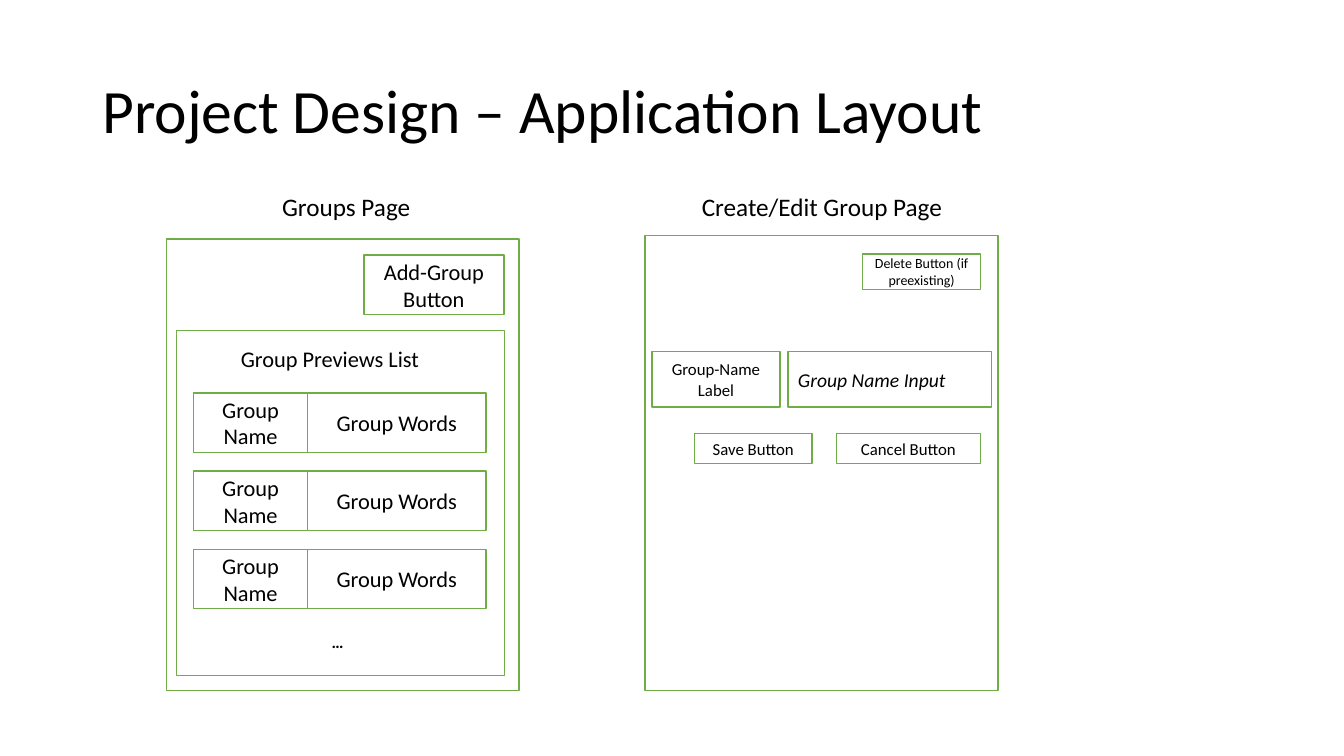
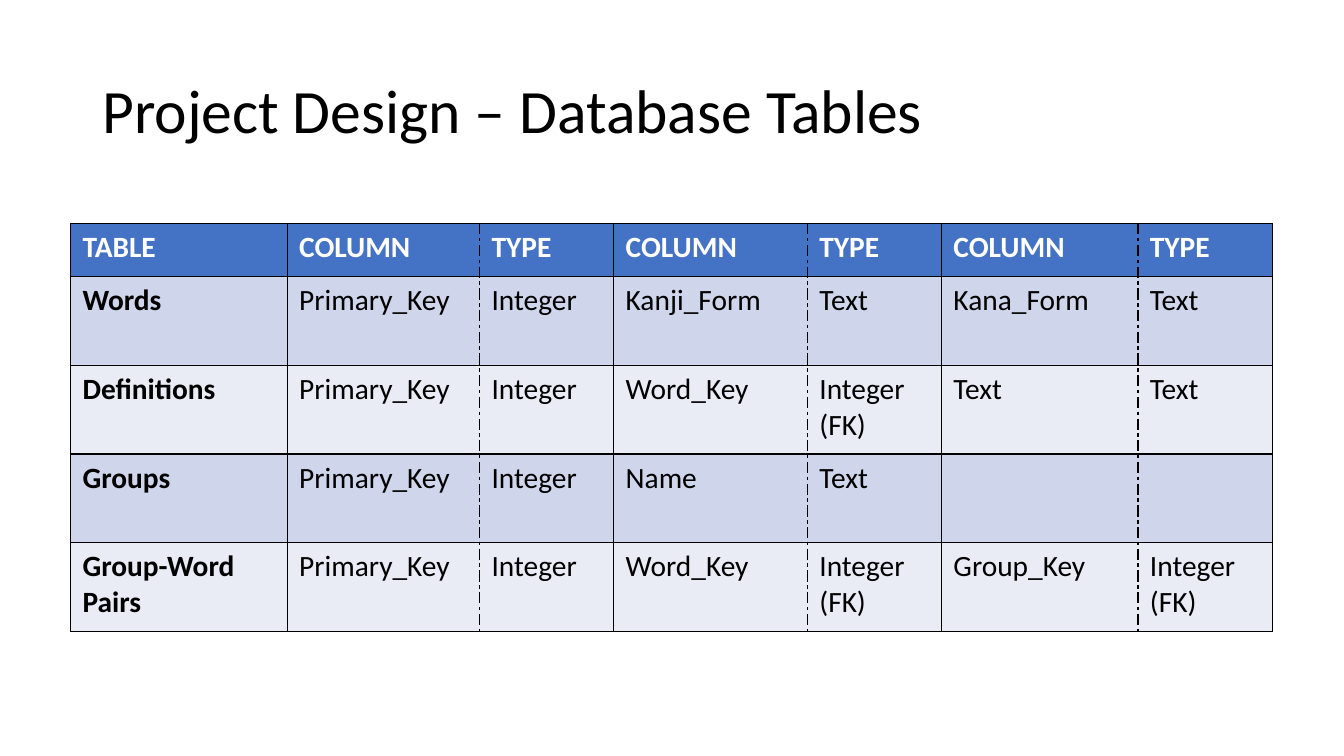
from lxml import etree
from pptx import Presentation
from pptx import util as u
from pptx.dml.color import RGBColor
from pptx.enum import shapes as sh, text as tx
from pptx.oxml.ns import qn

FONT = "Calibri"
BLACK, WHITE, GREEN = "000000", "FFFFFF", "70AD47"
HEADER_FILL, BAND_FILLS = "4472C4", ("CFD5EA", "E9EBF5")
TITLE_BOX = (2.33, 1.01, 29.21, 3.68)

# Wireframe content: (text, (left, top, width, height) in cm, font format)
PREVIEW_COUNT, PREVIEW_TOP, PREVIEW_PITCH = 3, 9.9, 1.97
PREVIEW_PARTS = [("Group Name", 4.88, 2.87), ("Group Words", 7.75, 4.5)]
PREVIEWS = [(label, (left, PREVIEW_TOP + i * PREVIEW_PITCH, width, 1.5), {"size": 16})
            for i in range(PREVIEW_COUNT) for label, left, width in PREVIEW_PARTS]

WIREFRAMES = [
    {"boxes": [("", (4.19, 6.02, 8.89, 11.38), {}),
               ("", (4.45, 8.33, 8.26, 8.69), {}),
               ("Add-Group Button", (9.17, 6.43, 3.53, 1.5), {"size": 16}),
               *PREVIEWS],
     "labels": [("Groups Page", (6.5, 4.7, 4.45, 1.17), {"size": 18}),
                ("Group Previews List", (5, 8.56, 6.63, 1.07), {"size": 16}),
                ("…", (7.75, 15.8, 1.52, 0.86), {"size": 12, "bold": True})]},
    {"boxes": [("", (16.26, 5.94, 8.89, 11.46), {}),
               ("Delete Button (if preexisting)", (21.74, 6.4, 2.97, 0.9), {"size": 10}),
               ("Group-Name Label", (16.43, 8.86, 3.23, 1.4), {"size": 12}),
               ("Group Name Input", (19.86, 8.86, 5.13, 1.4), {"size": 14, "italic": True}),
               ("Save Button", (17.5, 10.92, 2.97, 0.76), {"size": 12}),
               ("Cancel Button", (21.08, 10.92, 3.63, 0.76), {"size": 12})],
     "labels": [("Create/Edit Group Page", (16.69, 4.7, 8.05, 1.17), {"size": 18})]},
]

# Database content
DB_ROWS = [
    ("TABLE", "COLUMN", "TYPE", "COLUMN", "TYPE", "COLUMN", "TYPE"),
    ("Words", "Primary_Key", "Integer", "Kanji_Form", "Text", "Kana_Form", "Text"),
    ("Definitions", "Primary_Key", "Integer", "Word_Key", "Integer (FK)", "Text", "Text"),
    ("Groups", "Primary_Key", "Integer", "Name", "Text", "", ""),
    ("Group-Word Pairs", "Primary_Key", "Integer", "Word_Key", "Integer (FK)",
     "Group_Key", "Integer (FK)"),
]
DB_LEFT, DB_TOP = 1.78, 5.64
DB_WIDTHS = [5.46, 4.85, 3.38, 4.88, 3.38, 4.95, 3.38]
DB_HEIGHTS = [1.32] + [2.24] * 4
CELL_MARGINS = {"margin_left": 0.3, "margin_right": 0.3,
                "margin_top": 0.15, "margin_bottom": 0.15}


def color(hex_code):
    return RGBColor.from_string(hex_code)


def cm(lengths):
    return [u.Cm(length) for length in lengths]


def write(frame, words, ink=BLACK, size=18, align=tx.PP_ALIGN.LEFT, **style):
    """Fill a text frame with one styled paragraph and return the paragraph."""
    frame.word_wrap = True
    paragraph = frame.paragraphs[0]
    paragraph.alignment = align
    run = paragraph.add_run()
    run.text = words
    for key, value in {"name": FONT, "size": u.Pt(size), **style}.items():
        setattr(run.font, key, value)
    run.font.color.rgb = color(ink)
    return paragraph


def add_titled_slide(deck, title):
    slide = deck.slides.add_slide(deck.slide_layouts[6])
    frame = slide.shapes.add_textbox(*cm(TITLE_BOX)).text_frame
    frame.vertical_anchor = tx.MSO_ANCHOR.MIDDLE
    write(frame, title, size=44).line_spacing = 0.9
    return slide


def add_box(parent, words, place, style):
    box = parent.add_shape(sh.MSO_SHAPE.RECTANGLE, *cm(place))
    box.shadow.inherit = False
    box.fill.solid()
    box.fill.fore_color.rgb = color(WHITE)
    box.line.color.rgb = color(GREEN)
    box.line.width = u.Pt(1)
    if words:
        box.text_frame.vertical_anchor = tx.MSO_ANCHOR.MIDDLE
        # Input fields, in italics, read from the left
        align = tx.PP_ALIGN.LEFT if style.get("italic") else tx.PP_ALIGN.CENTER
        write(box.text_frame, words, align=align, **style)


def add_wireframe(slide, wireframe):
    group = slide.shapes.add_group_shape().shapes
    for words, place, style in wireframe["boxes"]:
        add_box(group, words, place, style)
    for words, place, style in wireframe["labels"]:
        label = group.add_textbox(*cm(place))
        write(label.text_frame, words, align=tx.PP_ALIGN.CENTER, **style)


def border(cell, side, dash):
    line = etree.SubElement(cell._tc.get_or_add_tcPr(), qn(f"a:ln{side}"), w=str(u.Pt(1)))
    fill = etree.SubElement(line, qn("a:solidFill"))
    etree.SubElement(fill, qn("a:srgbClr"), val=BLACK)
    etree.SubElement(line, qn("a:prstDash"), val=dash)


def format_cell(cell, row, col, words):
    for key, value in CELL_MARGINS.items():
        setattr(cell, key, u.Cm(value))
    # Each COLUMN cell is split from its TYPE cell by a dash-dot line
    is_type = col > 0 and col % 2 == 0
    is_column = col % 2 == 1
    for side, dashed in (("L", is_type), ("R", is_column), ("T", False), ("B", False)):
        border(cell, side, "dashDot" if dashed else "solid")
    cell.fill.solid()
    cell.fill.fore_color.rgb = color(BAND_FILLS[(row - 1) % 2] if row else HEADER_FILL)
    if words:
        write(cell.text_frame, words, ink=BLACK if row else WHITE, size=21,
              bold=row == 0 or col == 0)


def add_database_table(slide):
    place = cm((DB_LEFT, DB_TOP, sum(DB_WIDTHS), sum(DB_HEIGHTS)))
    table = slide.shapes.add_table(len(DB_ROWS), len(DB_WIDTHS), *place).table
    for column, width in zip(table.columns, DB_WIDTHS):
        column.width = u.Cm(width)
    for row, height in zip(table.rows, DB_HEIGHTS):
        row.height = u.Cm(height)
    for r, entries in enumerate(DB_ROWS):
        for c, words in enumerate(entries):
            format_cell(table.cell(r, c), r, c, words)


def main():
    deck = Presentation()
    deck.slide_width, deck.slide_height = cm((33.87, 19.05))

    # Application layout
    layout_slide = add_titled_slide(deck, "Project Design – Application Layout")
    for wireframe in WIREFRAMES:
        add_wireframe(layout_slide, wireframe)

    # Database tables
    add_database_table(add_titled_slide(deck, "Project Design – Database Tables"))

    deck.save("out.pptx")


if __name__ == "__main__":
    main()
